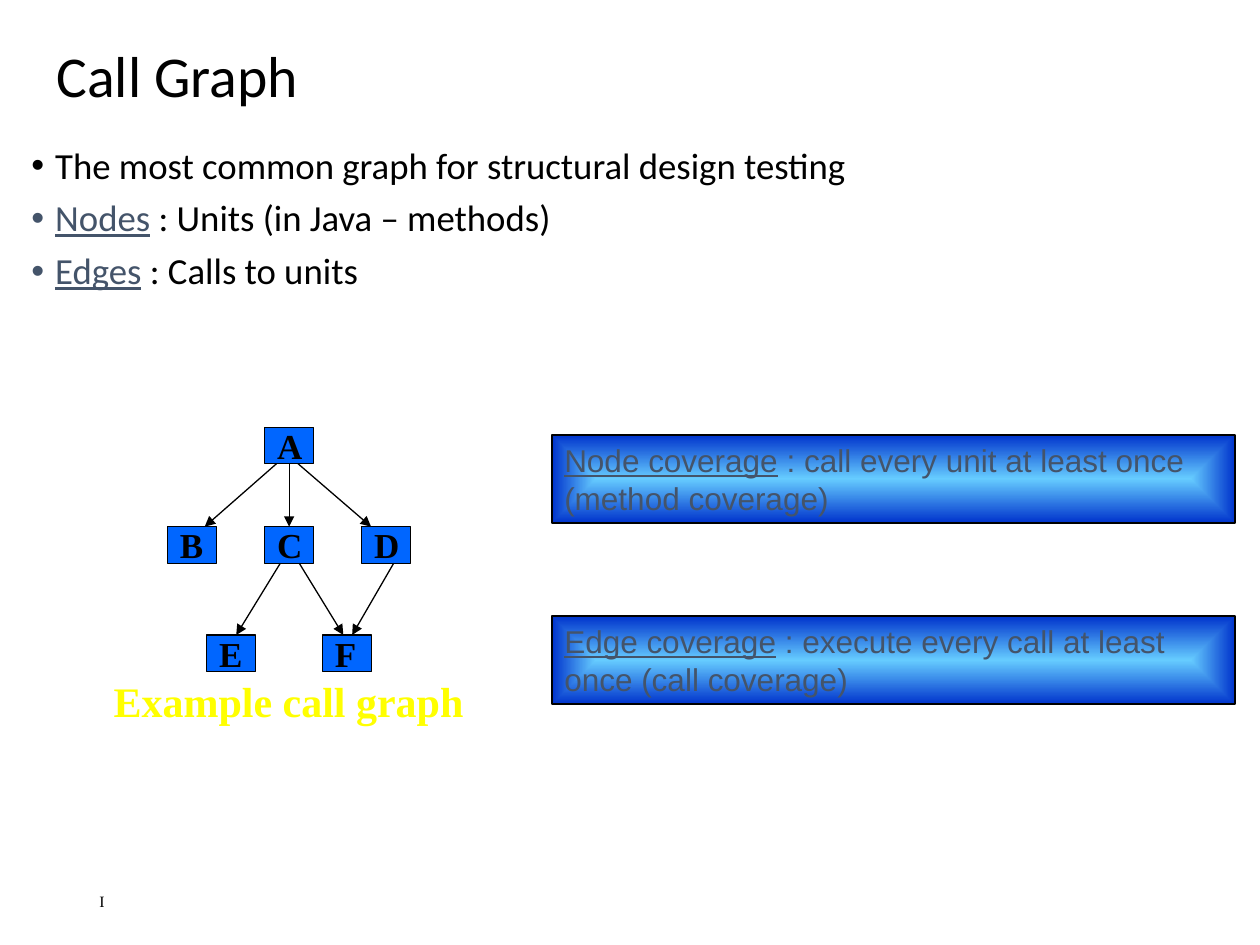
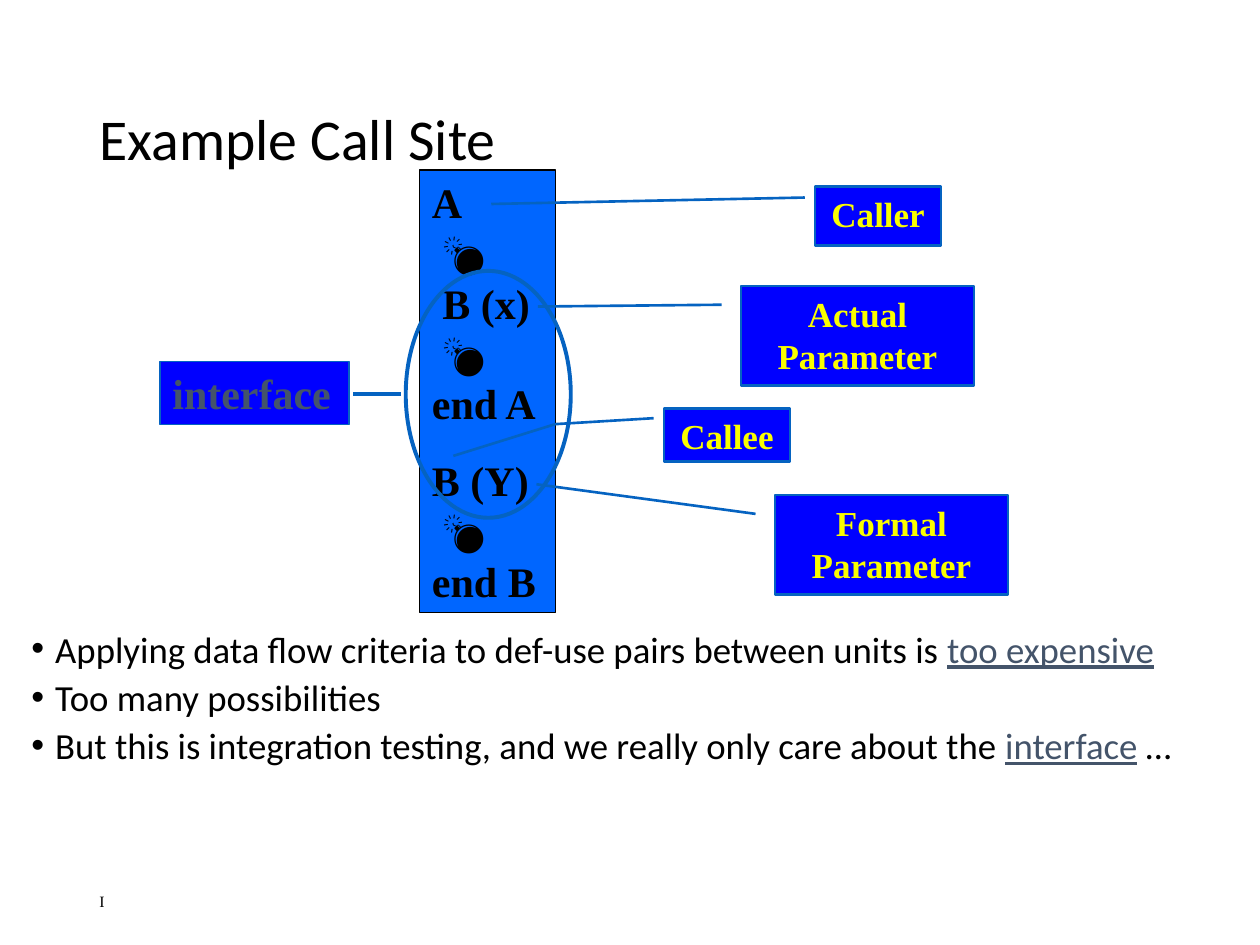
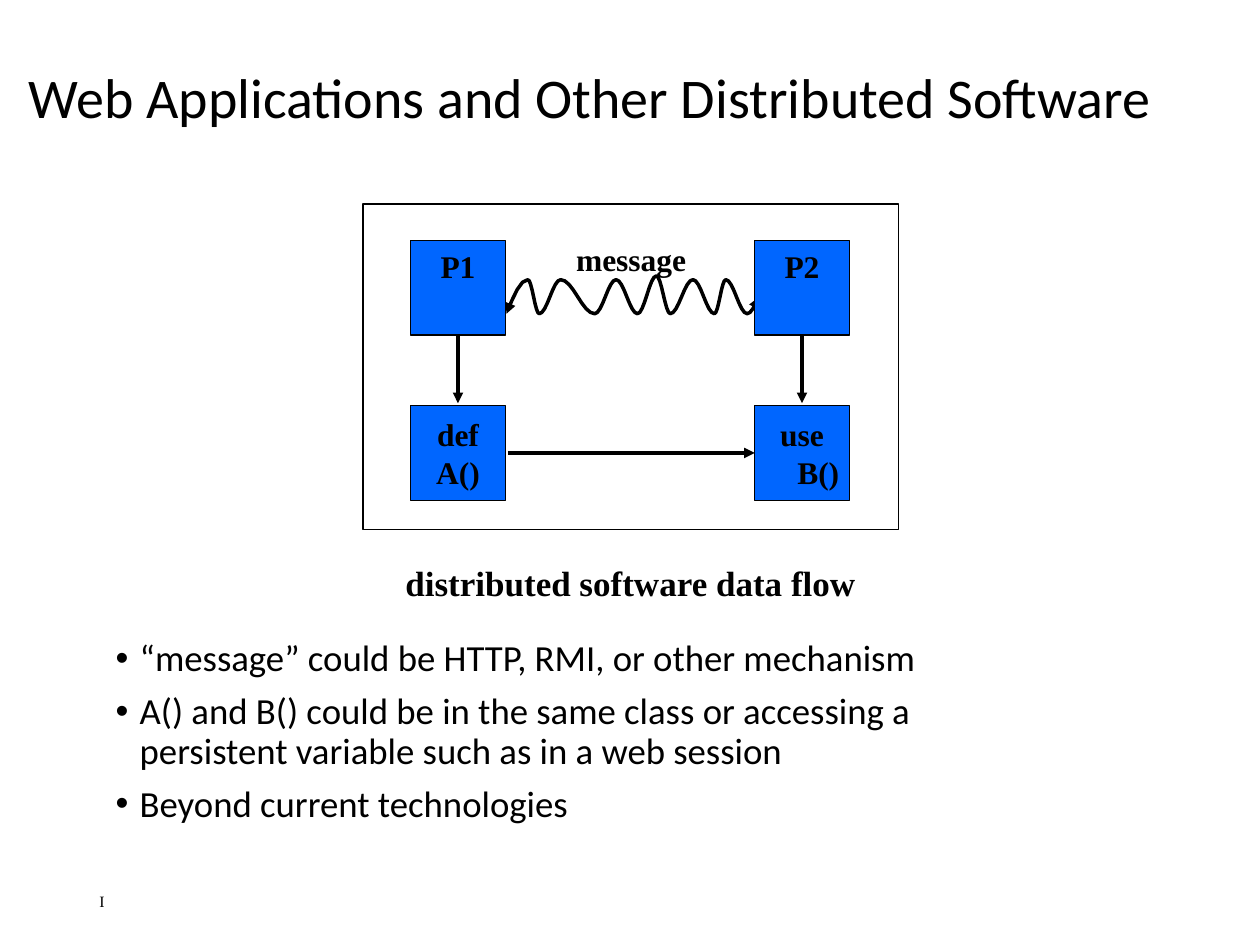
"""Build three slides on call graphs, call sites and distributed data flow."""
import math
from itertools import pairwise

from pptx import Presentation
from pptx import util as u
from pptx.dml.color import RGBColor
from pptx.enum import shapes, text
from pptx.oxml.ns import qn
from pptx.oxml.xmlchemy import OxmlElement

WIDTH, HEIGHT = 10, 7.5
COLORS = {"black": "000000", "white": "FFFFFF", "slate": "44546A", "box": "0066FF",
          "label": "0000FF", "edge": "0563C1", "yellow": "FFFF00", "callout": "FAFD00",
          "glow": "66CCFF", "deep": "0033CC"}
SANS, SERIF, PLAIN, SYMBOL = "Calibri", "Times New Roman", "Arial", "Roboto"
SHAPE = shapes.MSO_SHAPE
LEFT, CENTER, RIGHT = text.PP_ALIGN.LEFT, text.PP_ALIGN.CENTER, text.PP_ALIGN.RIGHT
TOP, MIDDLE = text.MSO_ANCHOR.TOP, text.MSO_ANCHOR.MIDDLE
FOOTER = "I"

GRAPH_BULLETS = ["The most common graph for structural design testing",
                 "*Nodes* : Units (in Java – methods)",
                 "*Edges* : Calls to units"]
NODE_SIZE = (0.39, 0.29)
NODES = {"A": (2.1, 3.39), "B": (1.33, 4.18), "C": (2.1, 4.18), "D": (2.87, 4.18),
         "E": (1.64, 5.04), "F": (2.56, 5.04)}
CALLS = [("A", "B", -0.1, 0.1), ("A", "C", 0, 0), ("A", "D", 0.07, -0.12),
         ("C", "E", -0.07, 0.04), ("C", "F", 0.08, -0.03), ("D", "F", 0.06, 0.04)]
COVERAGES = ["*Node coverage* : call every unit at least once (method coverage)",
             "*Edge coverage* : execute every call at least once (call coverage)"]

SITE_BULLETS = [
    "Applying data flow criteria to def-use pairs between units is *too expensive*",
    "Too many possibilities",
    "But this is integration testing, and we really only care about the *interface* …"]
UNITS = ["A\v 💣\v B (x)\v 💣\vend A", "B (Y)\v 💣\vend B"]
CALLOUTS = [
    ("Caller", (6.47, 1.48, 1, 0.47), (0.297, -2.571)),
    ("Actual Parameter", (5.88, 2.27, 1.85, 0.79), (0.206, -0.871)),
    ("Formal Parameter", (6.15, 3.93, 1.85, 0.79), (-0.11, -1.023)),
    ("Callee", (5.27, 3.24, 1, 0.42), (0.3, -0.863, 0.9, -1.672))]

WEB_BULLETS = ["“message” could be HTTP, RMI, or other mechanism",
               "A() and B() could be in the same class or accessing a\v"
               "persistent variable such as in a web session",
               "Beyond current technologies"]
SIDE = 0.75
COLUMNS, ROWS = (3.26, 5.99), (1.91, 3.22)
PROCESSES = [("def\nA()", 0, 1, MIDDLE), ("use\nB()", 1, 1, MIDDLE),
             ("P1", 0, 0, TOP), ("P2", 1, 0, TOP)]
WAVE = [(3.85, 2.76), (4.19, 2.22), (4.28, 2.49), (4.45, 2.22), (4.72, 2.49), (4.89, 2.22),
        (5.06, 2.49), (5.21, 2.19), (5.32, 2.49), (5.5, 2.22), (5.67, 2.49), (5.76, 2.22),
        (5.93, 2.49), (6.11, 2.23)]
WAVE_STEPS = 8


def color(name):
    return RGBColor.from_string(COLORS[name])


def inches(*lengths):
    return [u.Inches(length) for length in lengths]


def style(span, size, font, ink, bold=False, underline=False):
    span.font.size, span.font.name = u.Pt(size), font
    span.font.bold, span.font.underline = bold, underline
    span.font.color.rgb = color(ink)


def write(box, lines, size, font=SERIF, ink="black", bold=True, align=LEFT,
          anchor=TOP, before=0, marked=None, margin=0.1):
    """Fill a box with paragraphs; text between asterisks is underlined."""
    frame = box.text_frame
    frame.word_wrap, frame.vertical_anchor = True, anchor
    frame.margin_left = frame.margin_right = u.Inches(margin)
    frame.text = "\n".join(line.replace("*", "") for line in lines)
    for para, line in zip(frame.paragraphs, lines):
        para.alignment = align
        if before:
            para.space_before = u.Pt(before)
        if "*" in line:
            para.text = ""
            for index, part in enumerate(line.split("*")):
                if part:
                    span = para.add_run()
                    span.text = part
                    on = index % 2 == 1
                    style(span, size, font, marked if on else ink, bold, on)
        else:
            for span in para.runs:
                style(span, size, SYMBOL if "💣" in span.text else font, ink, bold)
    return frame


def add_text(page, place, lines, size, **look):
    return write(page.shapes.add_textbox(*inches(*place)), lines, size, **look)


def add_box(page, place, fill=None, line="black", weight=0.75, kind=SHAPE.RECTANGLE):
    box = page.shapes.add_shape(kind, *inches(*place))
    box.shadow.inherit = False
    if fill:
        box.fill.solid()
        box.fill.fore_color.rgb = color(fill)
    else:
        box.fill.background()
    box.line.color.rgb, box.line.width = color(line), u.Pt(weight)
    return box


def add_arrowheads(shape, *ends):
    for end in ends:
        head = OxmlElement(f"a:{end}")
        head.set("type", "triangle")
        shape.line._get_or_add_ln().append(head)


def add_line(page, start, end, weight=0.75, ink="black", arrow=True):
    line = page.shapes.add_connector(shapes.MSO_CONNECTOR.STRAIGHT, *inches(*start, *end))
    line.line.color.rgb, line.line.width = color(ink), u.Pt(weight)
    if arrow:
        add_arrowheads(line, "tailEnd")
    line.element.spPr.append(OxmlElement("a:effectLst"))


def add_bullets(page, place, lines, spacing=0.9):
    frame = add_text(page, place, lines, 21, font=SANS, bold=False, before=7.5,
                     marked="slate")
    for para, line in zip(frame.paragraphs, lines):
        para.line_spacing = spacing
        props = para._p.get_or_add_pPr()
        props.set("marL", str(u.Inches(0.19)))
        props.set("indent", str(-u.Inches(0.19)))
        tint, value = OxmlElement("a:buClr"), OxmlElement("a:srgbClr")
        value.set("val", COLORS["slate" if line.startswith("*") else "black"])
        tint.append(value)
        face, mark = OxmlElement("a:buFont"), OxmlElement("a:buChar")
        face.set("typeface", PLAIN)
        mark.set("char", "•")
        for item in (tint, face, mark):
            props.append(item)


def add_page(deck, title, place, size=33):
    page = deck.slides.add_slide(deck.slide_layouts[6])
    frame = add_text(page, place, [title], size, font=SANS, bold=False, anchor=MIDDLE)
    frame.paragraphs[0].line_spacing = 0.9
    add_text(page, (0.69, 6.95, 2.25, 0.4), [FOOTER], 9, bold=False, anchor=MIDDLE)
    return page


def glow(box):
    box.fill.gradient()
    for stop, name in zip(box.fill.gradient_stops, ("glow", "deep")):
        stop.color.rgb = color(name)
    gradient = box.element.spPr.find(qn("a:gradFill"))
    gradient.remove(gradient.find(qn("a:lin")))
    shade, center = OxmlElement("a:path"), OxmlElement("a:fillToRect")
    shade.set("path", "rect")
    for side in "ltrb":
        center.set(side, "50000")
    shade.append(center)
    gradient.append(shade)


def build_call_graph(deck):
    page = add_page(deck, "Call Graph", (0.35, -0.1, 8.62, 1.45))
    add_bullets(page, (0.15, 1.12, 9.7, 2.01), GRAPH_BULLETS)
    add_text(page, (0.78, 5.31, 3.02, 0.5), ["Example call graph"], 24, ink="yellow",
             align=CENTER)
    wide, high = NODE_SIZE
    for name, corner in NODES.items():
        write(add_box(page, (*corner, wide, high), "box"), [name], 20, anchor=MIDDLE)
    for caller, callee, leave, arrive in CALLS:
        (x1, y1), (x2, y2) = NODES[caller], NODES[callee]
        add_line(page, (x1 + wide / 2 + leave, y1 + high), (x2 + wide / 2 + arrive, y2))
    for index, line in enumerate(COVERAGES):
        box = add_box(page, (4.38, 3.45 + 1.44 * index, 5.42, 0.7), weight=1)
        glow(box)
        write(box, [line], 18, font=PLAIN, ink="slate", bold=False, marked="slate")


def build_call_site(deck):
    page = add_page(deck, "Example Call Site", (0.69, 0.4, 8.63, 1.45))
    add_bullets(page, (0.15, 4.99, 9.7, 2.06), SITE_BULLETS, 0.8)
    write(add_box(page, (3.33, 1.35, 1.08, 3.51), "box"), UNITS, 24, before=15)
    for label, place, bends in CALLOUTS:
        kind = SHAPE.LINE_CALLOUT_1 if len(bends) == 2 else SHAPE.LINE_CALLOUT_2
        box = add_box(page, place, "label", "edge", 1.5, kind)
        for index, value in enumerate((0.188, -0.083, *bends)):
            box.adjustments[index] = value
        write(box, [label], 20, ink="callout", align=CENTER)
    write(add_box(page, (1.27, 2.87, 1.5, 0.5), "label", "edge"), ["interface"], 24,
          ink="slate")
    add_box(page, (3.22, 2.15, 1.31, 1.96), None, "edge", 2.25, SHAPE.OVAL)
    add_line(page, (3.18, 3.13), (2.8, 3.13), 2.25, "edge", arrow=False)


def add_wave(page):
    points = []
    for (x1, y1), (x2, y2) in pairwise(WAVE):
        for step in range(WAVE_STEPS):
            share = step / WAVE_STEPS
            ease = (1 - math.cos(math.pi * share)) / 2
            points.append(inches(x1 + (x2 - x1) * share, y1 + (y2 - y1) * ease))
    half = WAVE_STEPS // 2
    points = points[half:1 - half]
    builder = page.shapes.build_freeform(*points[0])
    builder.add_line_segments(points[1:], close=False)
    wave = builder.convert_to_shape()
    wave.shadow.inherit = False
    wave.fill.background()
    wave.line.color.rgb, wave.line.width = color("black"), u.Pt(2)
    add_arrowheads(wave, "headEnd", "tailEnd")


def build_web(deck):
    page = add_page(deck, "Web Applications and Other Distributed Software",
                    (0.13, 0.11, 9.73, 1.37), 32)
    add_bullets(page, (0.82, 5.03, 8.35, 1.97), WEB_BULLETS)
    add_text(page, (2.38, 4.41, 5.25, 0.44), ["distributed software data flow"], 20,
             align=CENTER)
    add_box(page, (2.88, 1.62, 4.25, 2.58), "white")
    add_wave(page)
    add_text(page, (4.26, 1.86, 1.5, 0.4), ["message"], 18, align=CENTER)
    for label, column, row, anchor in PROCESSES:
        box = add_box(page, (COLUMNS[column], ROWS[row], SIDE, SIDE), "box")
        frame = write(box, label.split("\n"), 18, align=CENTER, anchor=anchor, margin=0.08)
        if label.startswith("use"):
            frame.paragraphs[1].alignment = RIGHT
    for left in COLUMNS:
        middle = left + SIDE / 2
        add_line(page, (middle, ROWS[0] + SIDE), (middle, ROWS[1] - 0.02), 2)
    level = ROWS[1] + SIDE / 2
    add_line(page, (COLUMNS[0] + SIDE + 0.02, level), (COLUMNS[1], level), 2)


def main():
    deck = Presentation()
    deck.slide_width, deck.slide_height = inches(WIDTH, HEIGHT)
    build_call_graph(deck)
    build_call_site(deck)
    build_web(deck)
    deck.save("out.pptx")


if __name__ == "__main__":
    main()
